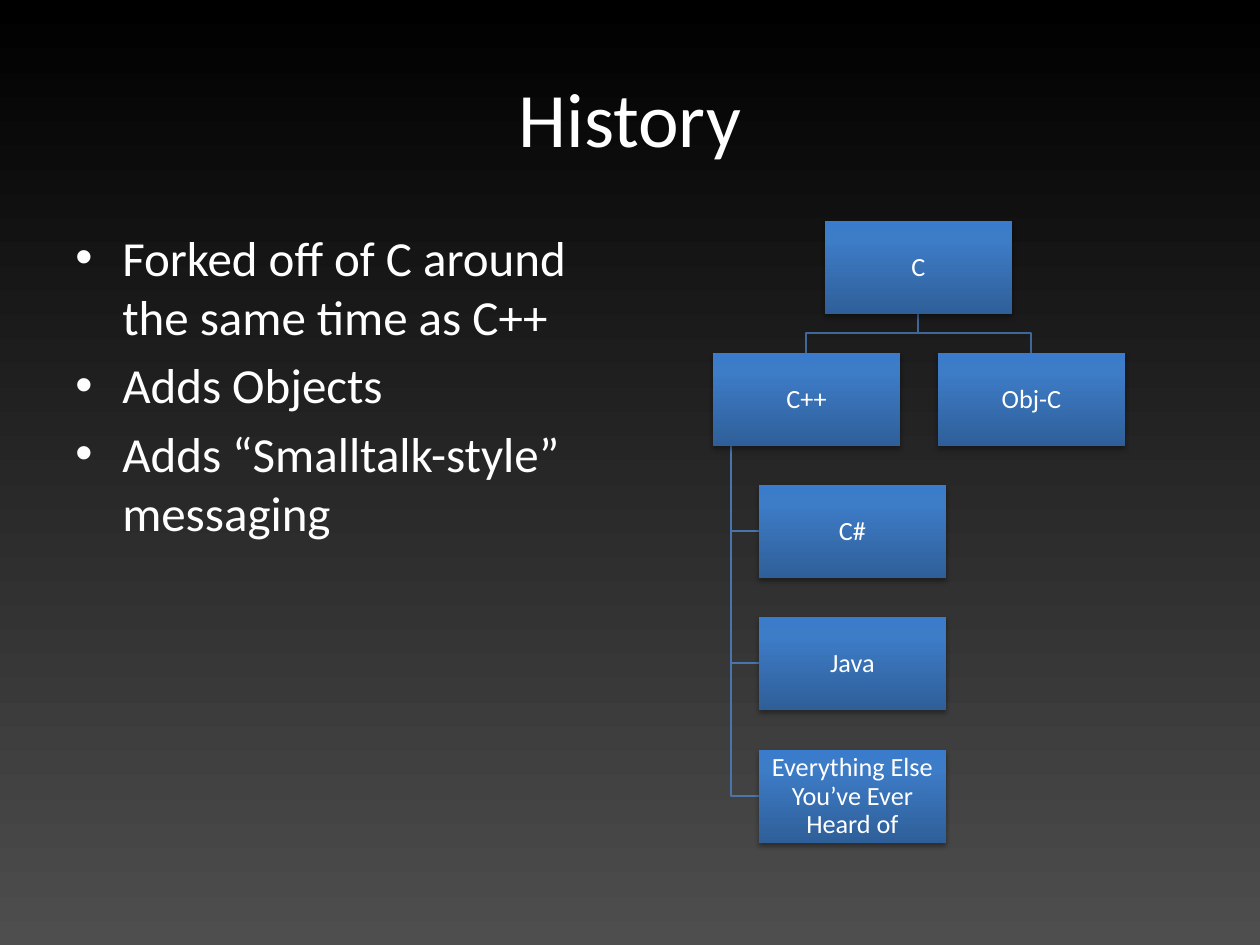
from copy import deepcopy
from dataclasses import dataclass

from lxml.etree import SubElement
from pptx import Presentation
from pptx.dml.color import RGBColor
from pptx.enum.shapes import MSO_SHAPE
from pptx.enum.text import MSO_ANCHOR, PP_ALIGN
from pptx.oxml.ns import qn
from pptx.util import Pt

PX = 914400 / 126  # EMU in one px


@dataclass(frozen=True)
class Theme:
    font: str = "Calibri"
    text: str = "FFFFFF"
    title_size: int = 44
    body_size: int = 28
    box_size: int = 15
    background: tuple = ((0, "4E4E4E"), (1, "000000"))
    box: tuple = ((0, "2F5F99"), (0.8, "3D7CC7"), (1, "3A7CCB"))
    branch_line: str = "3F6797"
    child_line: str = "4875AC"


theme = Theme()


def write_text(shape, lines, size, align=PP_ALIGN.LEFT, anchor=MSO_ANCHOR.TOP,
               inset=None, line_spacing=None, space_before=0, bullet_indent=0):
    """Fill the shape with one paragraph per line; inset and indent are in px."""
    frame = shape.text_frame
    frame.word_wrap = True
    frame.vertical_anchor = anchor
    if inset is not None:
        frame.margin_left = frame.margin_right = round(inset * PX)
        frame.margin_top = frame.margin_bottom = round(inset * PX)
    for index, line in enumerate(lines):
        paragraph = frame.paragraphs[0] if index == 0 else frame.add_paragraph()
        paragraph.alignment = align
        paragraph.line_spacing = line_spacing
        paragraph.space_before = Pt(space_before)
        run = paragraph.add_run()
        run.text = line
        run.font.name = theme.font
        run.font.size = Pt(size)
        run.font.color.rgb = RGBColor.from_string(theme.text)
        if bullet_indent:
            properties = paragraph._p.get_or_add_pPr()
            properties.set("marL", str(round(bullet_indent * PX)))
            properties.set("indent", str(-round(bullet_indent * PX)))
            SubElement(properties, qn("a:buFont"), typeface="Arial")
            SubElement(properties, qn("a:buChar"), char="•")


def paint_gradient(fill, element, stops):
    """Paint from the bottom up; element is the XML that holds the fill."""
    fill.gradient()
    fill.gradient_angle = 90
    stop_list = element.find(".//" + qn("a:gsLst"))
    for _ in stops[2:]:
        stop_list.append(deepcopy(stop_list[-1]))
    for stop, (position, color) in zip(fill.gradient_stops, stops):
        stop.position = position
        stop.color.rgb = RGBColor.from_string(color)


presentation = Presentation()
presentation.slide_width = round(1260 * PX)
presentation.slide_height = round(945 * PX)
slide = presentation.slides.add_slide(presentation.slide_layouts[6])
paint_gradient(slide.background.fill, slide._element, theme.background)

# Title and bullets
title = slide.shapes.add_textbox(*(round(n * PX) for n in (63, 38, 1134, 157)))
write_text(title, ["History"], theme.title_size,
           align=PP_ALIGN.CENTER, anchor=MSO_ANCHOR.MIDDLE)

body = slide.shapes.add_textbox(*(round(n * PX) for n in (63, 221, 557, 624)))
write_text(body, [
    "Forked off of C around the same time as C++",
    "Adds Objects",
    "Adds “Smalltalk-style” messaging",
], theme.body_size, space_before=5.6, bullet_indent=47)

# Language tree
BOX_WIDTH, BOX_HEIGHT = 187, 93
ROOT_LEFT, CPP_LEFT, OBJC_LEFT, CHILD_LEFT = 825, 713, 938, 759
TRUNK_X = 731
row_tops = [221 + 529 * row // 4 for row in range(5)]
boxes = [
    ("C", ROOT_LEFT, 0),
    ("C++", CPP_LEFT, 1),
    ("C#", CHILD_LEFT, 2),
    ("Java", CHILD_LEFT, 3),
    ("Everything Else You’ve Ever Heard of", CHILD_LEFT, 4),
    ("Obj-C", OBJC_LEFT, 1),
]

root_x = ROOT_LEFT + BOX_WIDTH // 2
root_bottom = row_tops[0] + BOX_HEIGHT
branch_y = (root_bottom + row_tops[1]) // 2
links = []
for left in (OBJC_LEFT, CPP_LEFT):
    branch_x = left + BOX_WIDTH // 2
    links.append((theme.branch_line, [(root_x, root_bottom), (root_x, branch_y),
                                      (branch_x, branch_y), (branch_x, row_tops[1])]))
for top in reversed(row_tops[2:]):
    child_y = top + BOX_HEIGHT // 2
    links.append((theme.child_line, [(TRUNK_X, row_tops[1] + BOX_HEIGHT),
                                     (TRUNK_X, child_y), (CHILD_LEFT, child_y)]))

for color, (start, *points) in links:
    builder = slide.shapes.build_freeform(*start, scale=PX)
    builder.add_line_segments(points, close=False)
    link = builder.convert_to_shape()
    link.shadow.inherit = False
    link.fill.background()
    link.line.color.rgb = RGBColor.from_string(color)
    link.line.width = Pt(0.75)

for label, left, row in boxes:
    box = slide.shapes.add_shape(
        MSO_SHAPE.RECTANGLE,
        *(round(n * PX) for n in (left, row_tops[row], BOX_WIDTH, BOX_HEIGHT)))
    paint_gradient(box.fill, box._element, theme.box)
    box.line.fill.background()
    box.shadow.inherit = False
    effects = box._element.spPr.find(qn("a:effectLst"))
    shadow = SubElement(effects, qn("a:outerShdw"), blurRad=str(Pt(3.1)),
                        dist=str(Pt(1.8)), dir="5400000", rotWithShape="0")
    shadow_color = SubElement(shadow, qn("a:srgbClr"), val="000000")
    SubElement(shadow_color, qn("a:alpha"), val="35000")
    write_text(box, [label], theme.box_size, align=PP_ALIGN.CENTER,
               anchor=MSO_ANCHOR.MIDDLE, inset=1, line_spacing=0.9)

presentation.save("out.pptx")
